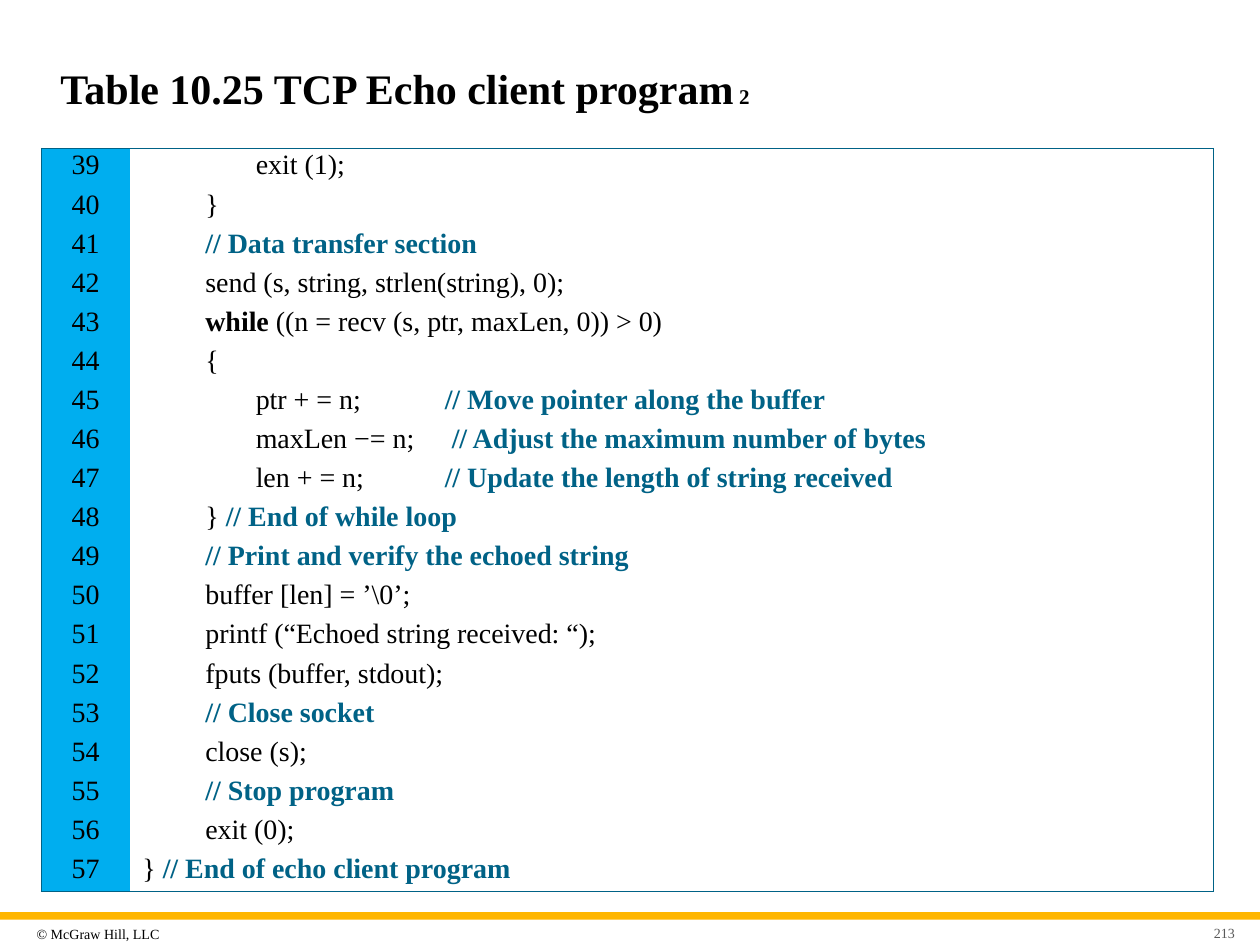
from lxml.etree import SubElement
from pptx import Presentation
from pptx.dml.color import RGBColor
from pptx.enum.shapes import MSO_SHAPE
from pptx.enum.text import MSO_ANCHOR, PP_ALIGN
from pptx.oxml.ns import qn
from pptx.util import Inches, Pt

BLACK = RGBColor(0x00, 0x00, 0x00)
GRAY = RGBColor(0x59, 0x59, 0x59)
TEAL = RGBColor(0x00, 0x62, 0x86)
CYAN = RGBColor(0x00, 0xAE, 0xEF)
GOLD = RGBColor(0xFF, 0xB6, 0x00)
FONT = "Times New Roman"

FIRST_LINE = 39
INDENTS = (0, 0.5, 0.9)
KEYWORD = "while"
CODE = [
    (2, "exit (1);"),
    (1, "}"),
    (1, "// Data transfer section"),
    (1, "send (s, string, strlen(string), 0);"),
    (1, "while ((n = recv (s, ptr, maxLen, 0)) > 0)"),
    (1, "{"),
    (2, "ptr + = n; \t\t// Move pointer along the buffer"),
    (2, "maxLen −= n;\t // Adjust the maximum number of bytes"),
    (2, "len + = n; \t\t// Update the length of string received"),
    (1, "} // End of while loop"),
    (1, "// Print and verify the echoed string"),
    (1, "buffer [len] = ’\\0’;"),
    (1, "printf (“Echoed string received: “);"),
    (1, "fputs (buffer, stdout);"),
    (1, "// Close socket"),
    (1, "close (s);"),
    (1, "// Stop program"),
    (1, "exit (0);"),
    (0, "} // End of echo client program"),
]
COLUMNS = (0.7, 8.6)
TABLE_HEIGHT = 5.9


def add_run(p, text, size=16, color=BLACK, bold=False):
    r = p.add_run()
    r.text = text
    r.font.name = FONT
    r.font.size = Pt(size)
    r.font.color.rgb = color
    r.font.bold = bold


def add_box(slide, box, margins, align=PP_ALIGN.LEFT):
    tf = slide.shapes.add_textbox(*map(Inches, box)).text_frame
    tf.word_wrap = True
    tf.vertical_anchor = MSO_ANCHOR.MIDDLE
    tf.margin_left, tf.margin_top, tf.margin_right, tf.margin_bottom = map(Inches, margins)
    p = tf.paragraphs[0]
    p.alignment = align
    return p


def set_borders(cell, drawn):
    tc_pr = cell._tc.get_or_add_tcPr()
    for side in "LRTB":
        ln = SubElement(tc_pr, qn(f"a:ln{side}"), w=str(Pt(1)))
        if side in drawn:
            fill = SubElement(ln, qn("a:solidFill"))
            SubElement(fill, qn("a:srgbClr"), val=str(TEAL))
        else:
            SubElement(ln, qn("a:noFill"))


def format_cell(cell, borders, fill=None):
    cell.margin_left = cell.margin_right = Inches(0.1)
    cell.margin_top = cell.margin_bottom = Inches(0.01)
    set_borders(cell, borders)
    if fill is None:
        cell.fill.background()
    else:
        cell.fill.solid()
        cell.fill.fore_color.rgb = fill
    return cell.text_frame.paragraphs[0]


def write_code(p, line):
    code, mark, comment = line.partition("//")
    if code.startswith(KEYWORD):
        add_run(p, KEYWORD, bold=True)
        code = code.removeprefix(KEYWORD)
    if code:
        add_run(p, code)
    if mark:
        add_run(p, mark + comment, color=TEAL, bold=True)


def add_listing(slide):
    count = len(CODE)
    table = slide.shapes.add_table(
        count, len(COLUMNS), Inches(0.33), Inches(1.18),
        Inches(sum(COLUMNS)), Inches(TABLE_HEIGHT)).table
    table.first_row = table.horz_banding = False
    for column, width in zip(table.columns, COLUMNS):
        column.width = Inches(width)
    for i, (level, line) in enumerate(CODE):
        table.rows[i].height = Inches(TABLE_HEIGHT / count)
        edges = ("T" if i == 0 else "") + ("B" if i == count - 1 else "")
        p = format_cell(table.cell(i, 0), "L" + edges, CYAN)
        p.alignment = PP_ALIGN.CENTER
        add_run(p, str(FIRST_LINE + i))
        p = format_cell(table.cell(i, 1), "R" + edges)
        p._p.get_or_add_pPr().set("marL", str(Inches(INDENTS[level])))
        p._p.get_or_add_pPr().set("indent", "0")
        write_code(p, line)


def main():
    prs = Presentation()
    prs.slide_width, prs.slide_height = Inches(10), Inches(7.5)
    slide = prs.slides.add_slide(prs.slide_layouts[6])

    bar = slide.shapes.add_shape(
        MSO_SHAPE.RECTANGLE, 0, Inches(7.24), prs.slide_width, Inches(0.06))
    bar.shadow.inherit = False
    bar.fill.solid()
    bar.fill.fore_color.rgb = GOLD
    bar.line.fill.background()

    p = add_box(slide, (0.24, 7.29, 1.35, 0.24), (0.05, 0.05, 0.05, 0.05))
    add_run(p, "© McGraw Hill, LLC", size=8)

    p = add_box(slide, (0.38, 0.33, 9.25, 0.74), (0.1, 0.05, 0.1, 0.05))
    add_run(p, "Table 10.25 TCP Echo client program", size=24, bold=True)
    add_run(p, " 2", size=12, bold=True)

    add_listing(slide)

    p = add_box(slide, (9.46, 7.31, 0.39, 0.18), (0.1, 0.05, 0.05, 0.05), PP_ALIGN.RIGHT)
    add_run(p, "213", size=8, color=GRAY)

    prs.save("out.pptx")


if __name__ == "__main__":
    main()
